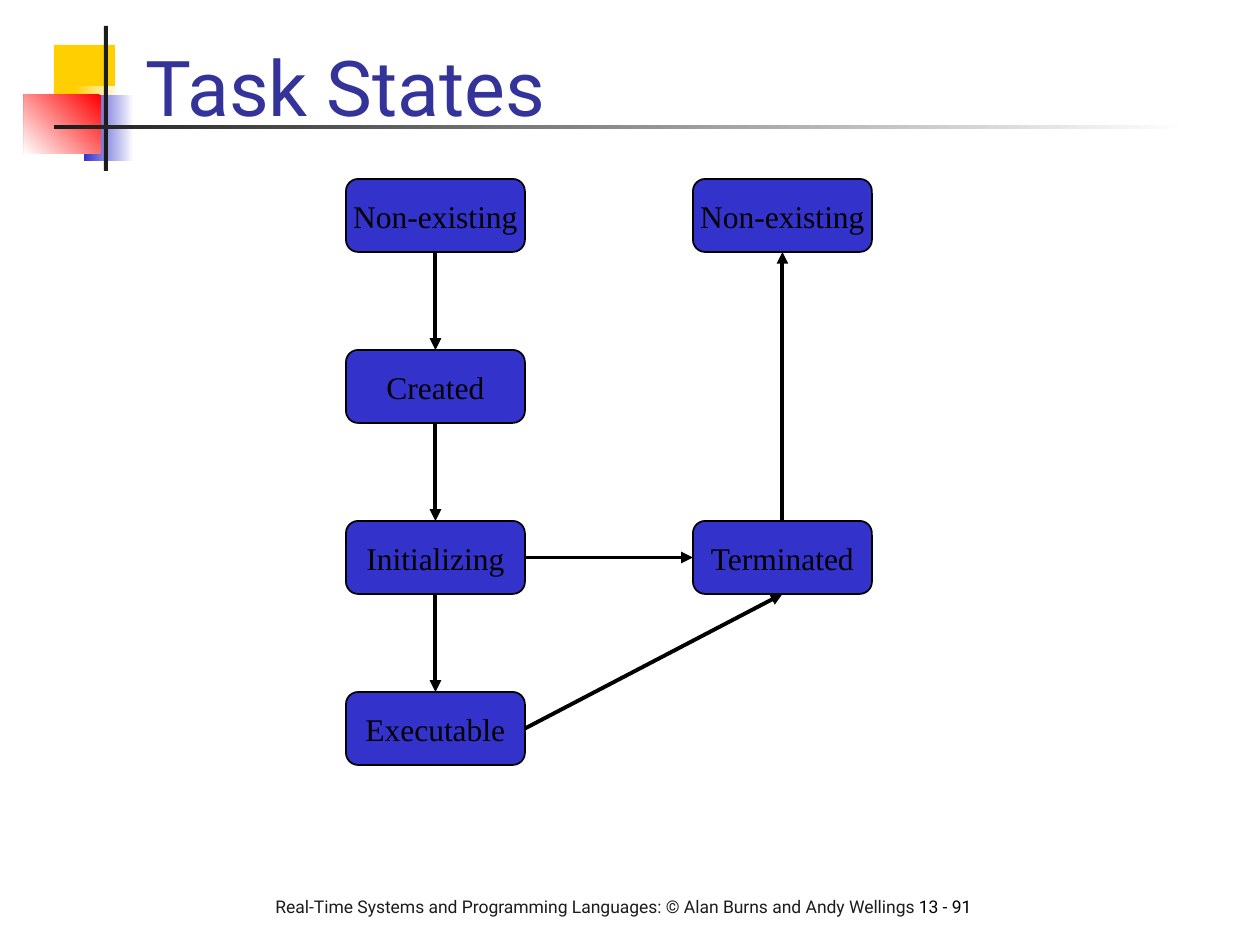
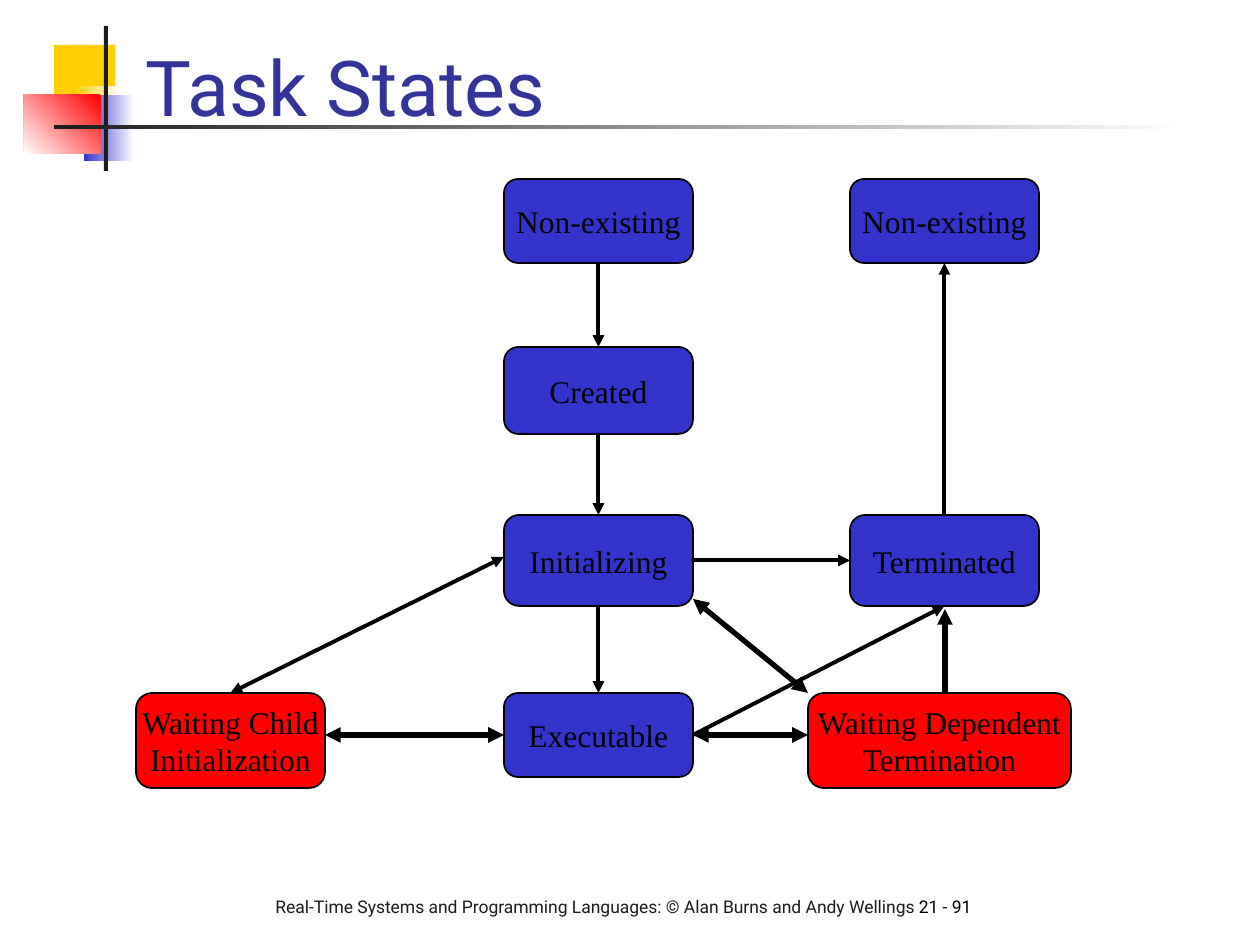
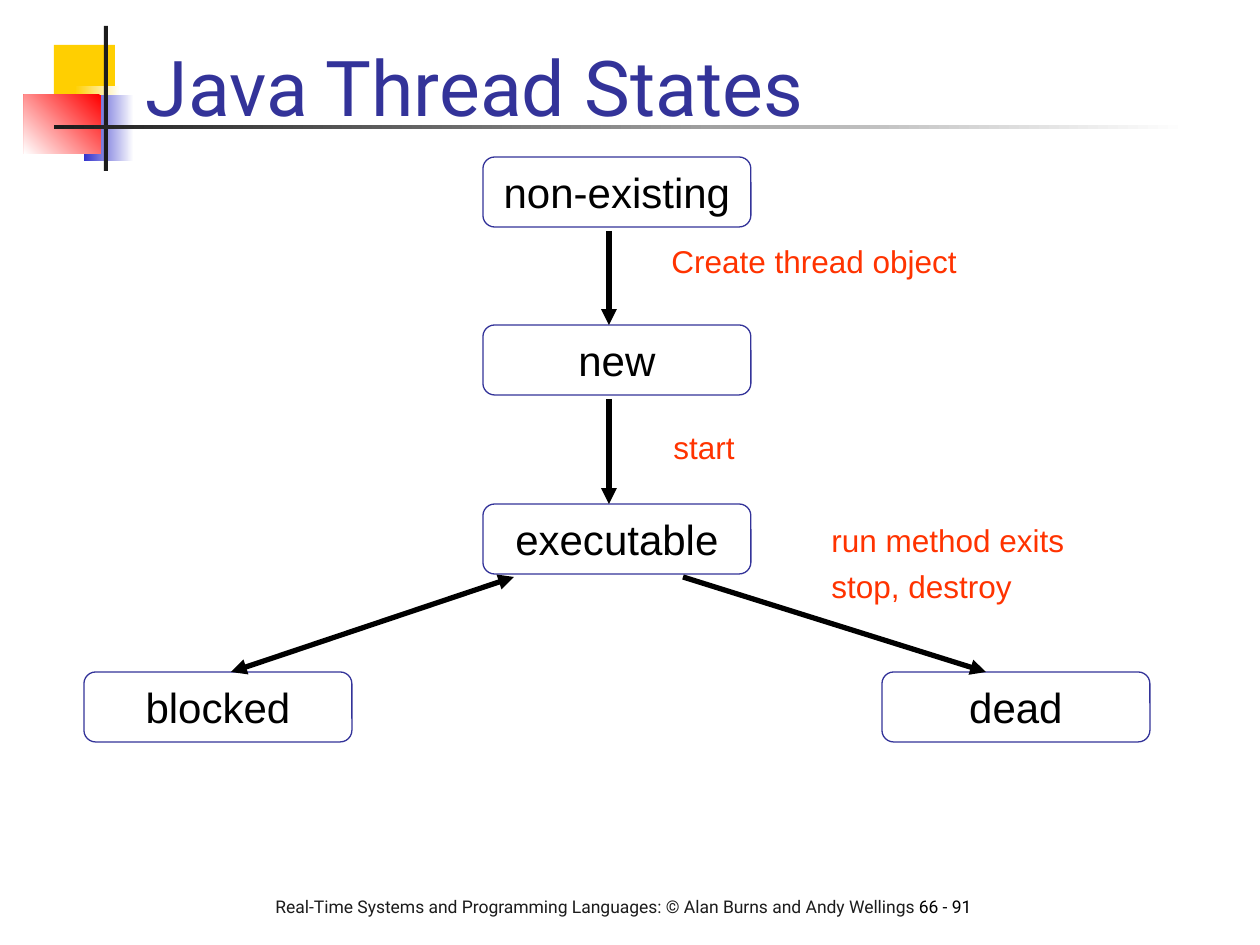
"""Build three slides of state diagrams with a shared layout band, title style and footer."""
from lxml.etree import SubElement
from pptx import Presentation
from pptx.dml.color import RGBColor
from pptx.enum.shapes import MSO_CONNECTOR, MSO_SHAPE
from pptx.enum.text import MSO_ANCHOR, PP_ALIGN
from pptx.oxml.ns import qn
from pptx.util import Emu, Pt

PIXEL = 914400 // 126
BLACK = RGBColor(0x00, 0x00, 0x00)
WHITE = RGBColor(0xFF, 0xFF, 0xFF)
CHARCOAL = RGBColor(0x1C, 0x1C, 0x1C)
YELLOW = RGBColor(0xFF, 0xCF, 0x01)
BLUE = RGBColor(0x33, 0x33, 0xCC)
NAVY = RGBColor(0x33, 0x33, 0x99)
RED = RGBColor(0xFF, 0x00, 0x00)
ORANGE = RGBColor(0xFF, 0x33, 0x00)

FOOTER = "Real-Time Systems and Programming Languages: © Alan Burns and Andy Wellings "
TITLE_AREA = (133, 16, 1074, 122)
FOOTER_AREA = (263, 890, 764, 58)
BAND = [
    ((54, 45, 61, 66), (YELLOW,), 0),
    ((75, 86, 45, 66), (WHITE, YELLOW), 180),
    ((84, 95, 50, 66), (WHITE, BLUE), 180),
    ((24, 95, 77, 59), (RED, WHITE), 225),
    ((104, 26, 4, 145), (CHARCOAL,), 0),
    ((54, 125, 1134, 4), (WHITE, CHARCOAL), 180),
]

TITLE_FONT = {"size": Pt(44), "name": "Roboto", "color": NAVY}
FOOTER_FONT = {"size": Pt(10), "name": "Roboto", "color": CHARCOAL}
PAGE_FONT = {**FOOTER_FONT, "color": BLACK}
TASK_FONT = {"size": Pt(18), "name": "Times New Roman", "color": BLACK}
THREAD_FONT = {"size": Pt(24), "name": "Arial", "color": BLACK}
LABEL_FONT = {"size": Pt(18), "name": "Arial", "color": ORANGE}

CENTRED = {"alignment": PP_ALIGN.CENTER}
TASK = {"fill": BLUE, "line": BLACK, "width": 1, "font": TASK_FONT,
        "frame": {"vertical_anchor": MSO_ANCHOR.MIDDLE, "word_wrap": False},
        "paragraph": CENTRED}
WAITING = {**TASK, "fill": RED}
THREAD = {"fill": None, "line": NAVY, "width": 0.75, "font": THREAD_FONT,
          "frame": {"vertical_anchor": MSO_ANCHOR.TOP, "word_wrap": True},
          "paragraph": {**CENTRED, "space_before": Pt(15)}}

SIDES = {"top": (0.5, 0), "bottom": (0.5, 1), "left": (0, 0.5), "right": (1, 0.5)}
STATES = [
    ("start", "Non-existing", 0, 0), ("created", "Created", 0, 1),
    ("initializing", "Initializing", 0, 2), ("executable", "Executable", 0, 3),
    ("terminated", "Terminated", 1, 2), ("end", "Non-existing", 1, 0),
]
STATE_ARROWS = [
    (("start", "bottom"), ("created", "top"), 2.25, False),
    (("created", "bottom"), ("initializing", "top"), 2.25, False),
    (("initializing", "bottom"), ("executable", "top"), 2.25, False),
    (("initializing", "right"), ("terminated", "left"), 2.25, False),
    (("executable", "right"), ("terminated", "bottom"), 2.25, False),
    (("terminated", "top"), ("end", "bottom"), 2.25, False),
]


def state_boxes(columns, width, rows):
    """Place the task states on a grid of columns and (top, height) rows."""
    return [(key, text, (columns[column], rows[row][0], width, rows[row][1]), TASK)
            for key, text, column, row in STATES]


SLIDES = [
    {
        "title": "Task States", "page": "13 - 91",
        "boxes": state_boxes((346, 693), 179, [(179 + 171 * row, 73) for row in range(4)]),
        "arrows": STATE_ARROWS,
        "labels": [],
    },
    {
        "title": "Task States", "page": "21 - 91",
        "boxes": state_boxes((504, 850), 189, [(179, 84), (347, 87), (515, 91), (693, 84)]) + [
            ("child", "Waiting Child\nInitialization", (136, 693, 189, 95), WAITING),
            ("dependent", "Waiting Dependent\nTermination", (808, 693, 263, 95), WAITING),
        ],
        "arrows": STATE_ARROWS + [
            ((325, 735), ("executable", "left"), 3, True),
            (("executable", "right"), (808, 735), 3, True),
            ((945, 693), (945, 609), 3, False),
            ((808, 693), (693, 599), 3, True),
            (("child", "top"), (504, 557), 2.25, True),
        ],
        "labels": [],
    },
    {
        "title": "Java Thread States", "page": "66 - 91",
        "boxes": [(text, text, (left, top, 268, 70), THREAD) for text, left, top in [
            ("dead", 882, 672), ("blocked", 84, 672), ("non-existing", 483, 157),
            ("new", 483, 325), ("executable", 483, 504)]],
        "arrows": [
            ((609, 231), (609, 325), 3, False),
            ((609, 399), (609, 504), 3, False),
            ((514, 577), (231, 672), 3, True),
            ((683, 577), (986, 672), 3, False),
        ],
        "labels": [
            ("Create thread object", (659, 236, 319, 50)),
            ("start", (661, 422, 88, 50)),
            ("run method exits\nstop, destroy", (819, 515, 260, 97)),
        ],
    },
]


def scaled(pixels):
    """Turn pixel lengths into EMU."""
    return [Emu(round(pixel * PIXEL)) for pixel in pixels]


def assign(target, values):
    """Set the attributes of a target from a dict."""
    for name, value in values.items():
        setattr(target, name, value)


def format_font(font, values):
    """Apply a font dict, in which color is an RGB value."""
    for name, value in values.items():
        if name == "color":
            font.color.rgb = value
        else:
            setattr(font, name, value)


def write(shape, text, font, frame_format, paragraph_format):
    """Write one paragraph per line of text into a shape."""
    frame = shape.text_frame
    assign(frame, frame_format)
    frame.text = text
    for paragraph in frame.paragraphs:
        assign(paragraph, paragraph_format)
        for run in paragraph.runs:
            format_font(run.font, font)


def move_band_to_layout(slide, layout):
    """Draw the corner blocks and rules and hand them to the layout."""
    for number, (area, colours, angle) in enumerate(BAND, 20):
        shape = slide.shapes.add_shape(MSO_SHAPE.RECTANGLE, *scaled(area))
        shape.shadow.inherit = False
        shape.line.fill.background()
        if len(colours) == 1:
            shape.fill.solid()
            shape.fill.fore_color.rgb = colours[0]
        else:
            shape.fill.gradient()
            shape.fill.gradient_angle = angle
            for stop, colour in zip(shape.fill.gradient_stops, colours):
                stop.color.rgb = colour
        shape.element.nvSpPr.cNvPr.id = number
        layout.shapes.element.append(shape.element)


def add_title(slide, text):
    """Move, fill and format the title placeholder."""
    title = slide.shapes.title
    assign(title, dict(zip(("left", "top", "width", "height"), scaled(TITLE_AREA))))
    write(title, text, TITLE_FONT, {"vertical_anchor": MSO_ANCHOR.BOTTOM, "word_wrap": True},
          {"alignment": PP_ALIGN.LEFT})


def add_footer(slide, page):
    """Add the book line and the page count."""
    footer = slide.shapes.add_textbox(*scaled(FOOTER_AREA))
    write(footer, FOOTER, FOOTER_FONT, {"word_wrap": True}, {})
    run = footer.text_frame.paragraphs[0].add_run()
    run.text = page
    format_font(run.font, PAGE_FONT)


def add_box(slide, text, area, style):
    """Add one rounded state box."""
    shape = slide.shapes.add_shape(MSO_SHAPE.ROUNDED_RECTANGLE, *scaled(area))
    shape.shadow.inherit = False
    if style["fill"] is None:
        shape.fill.background()
    else:
        shape.fill.solid()
        shape.fill.fore_color.rgb = style["fill"]
    shape.line.color.rgb = style["line"]
    shape.line.width = Pt(style["width"])
    write(shape, text, style["font"], style["frame"], style["paragraph"])


def locate(end, areas):
    """Return the pixel point of an arrow end, given as a point or a box side."""
    if end[0] not in areas:
        return end
    left, top, width, height = areas[end[0]]
    across, down = SIDES[end[1]]
    return left + width * across, top + height * down


def add_arrow(slide, start, finish, width, both_ways):
    """Add a straight arrow with one or two heads."""
    connector = slide.shapes.add_connector(MSO_CONNECTOR.STRAIGHT, *scaled(start + finish))
    connector.line.color.rgb = BLACK
    connector.line.width = Pt(width)
    properties = connector.element.spPr
    outline = properties.find(qn("a:ln"))
    for tag in ("a:headEnd", "a:tailEnd") if both_ways else ("a:tailEnd",):
        SubElement(outline, qn(tag), type="triangle")
    SubElement(properties, qn("a:effectLst"))


presentation = Presentation()
presentation.slide_width, presentation.slide_height = scaled((1260, 945))
title_layout = presentation.slide_layouts[5]
for content in SLIDES:
    slide = presentation.slides.add_slide(title_layout)
    if len(presentation.slides) == 1:
        move_band_to_layout(slide, title_layout)
    add_title(slide, content["title"])
    add_footer(slide, content["page"])
    for key, text, area, style in content["boxes"]:
        add_box(slide, text, area, style)
    areas = {key: area for key, text, area, style in content["boxes"]}
    for start, finish, width, both_ways in content["arrows"]:
        add_arrow(slide, locate(start, areas), locate(finish, areas), width, both_ways)
    for text, area in content["labels"]:
        label = slide.shapes.add_textbox(*scaled(area))
        write(label, text, LABEL_FONT, {"word_wrap": True}, {"space_before": Pt(4.5)})
presentation.save("out.pptx")
